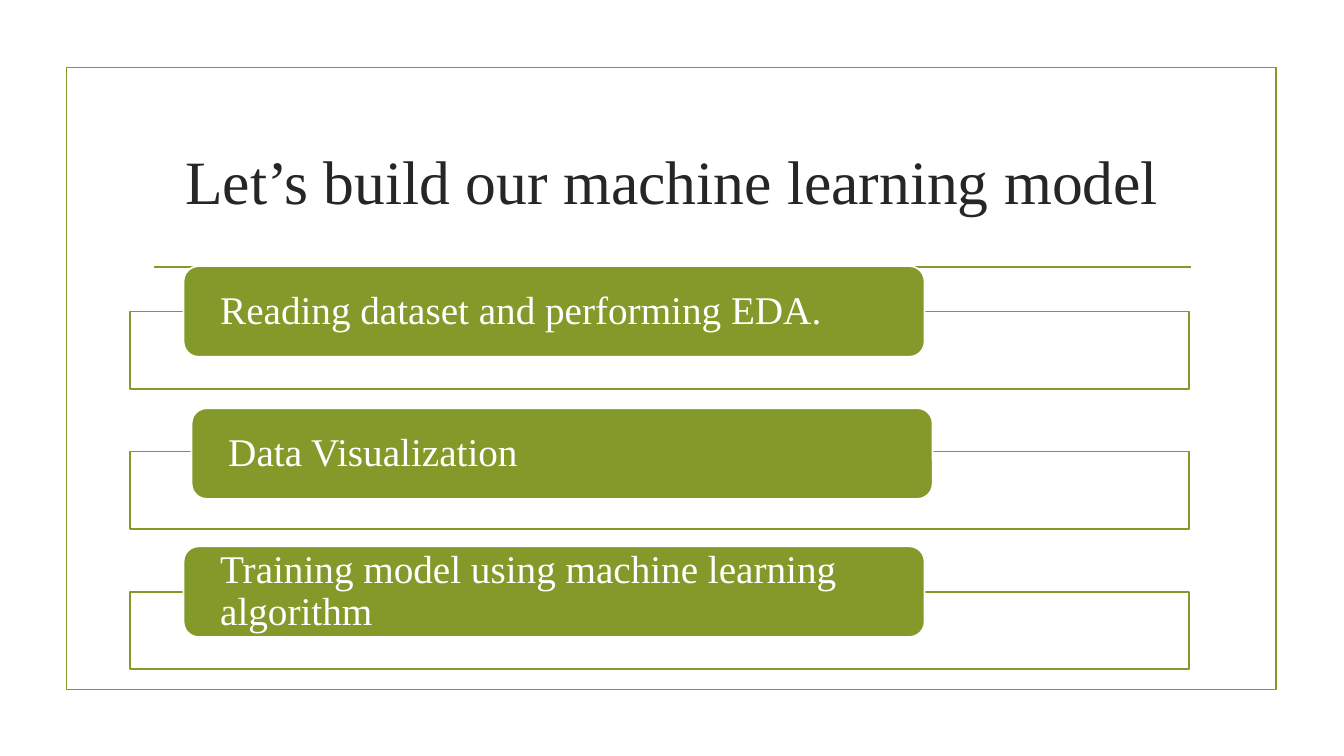
import lxml.etree
import pptx
import pptx.dml.color
import pptx.enum.shapes
import pptx.enum.text
import pptx.oxml.ns
import pptx.util
from pptx.util import Inches

COLORS = {"olive": "83992A", "white": "FFFFFF", "ink": "262626"}
FONT = "Times New Roman"
SHAPE = pptx.enum.shapes.MSO_SHAPE
ALIGN = pptx.enum.text.PP_ALIGN

deck = pptx.Presentation()
deck.slide_width, deck.slide_height = Inches(13.33), Inches(7.5)
slide = deck.slides.add_slide(deck.slide_layouts[6])


def add_box(kind, left, top, width, height, fill, line):
    box = slide.shapes.add_shape(
        kind, Inches(left), Inches(top), Inches(width), Inches(height))
    box.shadow.inherit = False
    if fill:
        box.fill.solid()
        box.fill.fore_color.rgb = pptx.dml.color.RGBColor.from_string(COLORS[fill])
    else:
        box.fill.background()
    box.line.color.rgb = pptx.dml.color.RGBColor.from_string(COLORS[line])
    box.line.width = pptx.util.Pt(1.25)
    return box


def write_text(shape, text, size, color, align):
    frame = shape.text_frame
    frame.word_wrap = True
    frame.vertical_anchor = pptx.enum.text.MSO_ANCHOR.MIDDLE
    frame.text = text
    paragraph = frame.paragraphs[0]
    paragraph.alignment = align
    font = paragraph.runs[0].font
    font.name, font.size = FONT, pptx.util.Pt(size)
    font.color.rgb = pptx.dml.color.RGBColor.from_string(COLORS[color])


# Frame, title and the rule below it
add_box(SHAPE.RECTANGLE, 0.66, 0.67, 12, 6.17, None, "olive")

title_rule = slide.shapes.add_connector(
    pptx.enum.shapes.MSO_CONNECTOR.STRAIGHT,
    Inches(1.53), Inches(2.65), Inches(11.81), Inches(2.65))
title_rule.line.color.rgb = pptx.dml.color.RGBColor.from_string(COLORS["olive"])
title_rule.line.width = pptx.util.Pt(1.25)
lxml.etree.SubElement(title_rule._element.spPr, pptx.oxml.ns.qn("a:effectLst"))

title = slide.shapes.add_textbox(Inches(1.42), Inches(1.07), Inches(10.5), Inches(1.43))
write_text(title, "Let’s build our machine learning model", 44, "ink", ALIGN.CENTER)

# Steps: an outlined band with a rounded label over its top edge
steps = [
    ("Reading dataset and performing EDA.", 1.82, 2.64),
    ("Data Visualization", 1.9, 4.05),
    ("Training model using machine learning algorithm", 1.82, 5.42),
]
for index, (step, label_left, label_top) in enumerate(steps):
    band = add_box(SHAPE.RECTANGLE, 1.29, 3.09 + 1.39 * index, 10.5, 0.77, "white", "olive")
    band_color = band._element.spPr.find(pptx.oxml.ns.qn("a:solidFill"))[0]
    lxml.etree.SubElement(band_color, pptx.oxml.ns.qn("a:alpha"), val="90000")

    label = add_box(SHAPE.ROUNDED_RECTANGLE, label_left, label_top, 7.35, 0.9, "olive", "white")
    write_text(label, step, 28, "white", ALIGN.LEFT)
    label.text_frame.margin_left = label.text_frame.margin_right = Inches(0.32)
    label.text_frame.margin_top = label.text_frame.margin_bottom = 0
    label.text_frame.paragraphs[0].line_spacing = 0.9

deck.save("out.pptx")
